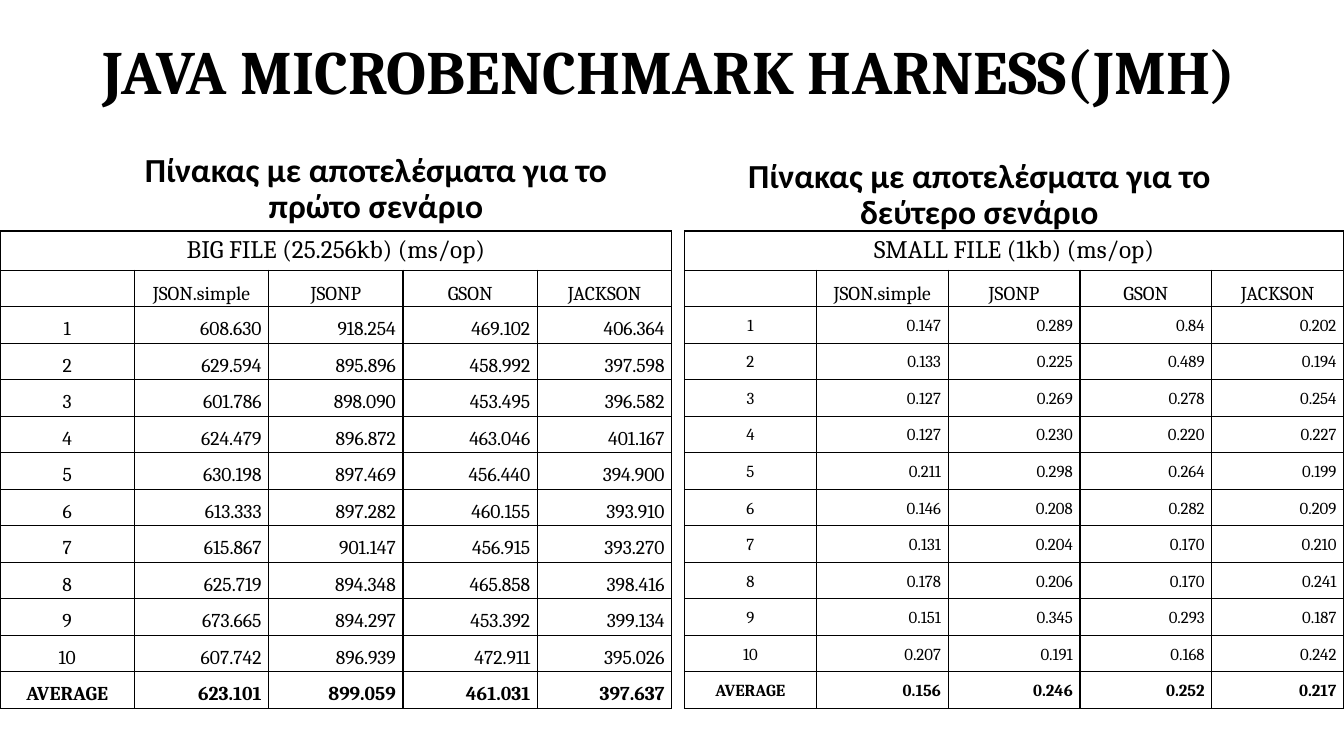
from lxml import etree
from pptx import Presentation
from pptx.dml.color import RGBColor
from pptx.enum.text import MSO_ANCHOR, MSO_AUTO_SIZE, PP_ALIGN
from pptx.oxml.ns import qn
from pptx.util import Cm, Pt

BLACK = RGBColor(0, 0, 0)
WHITE = RGBColor(255, 255, 255)
TITLE = "JAVA MICROBENCHMARK HARNESS(JMH)"
LIBRARIES = ["", "JSON.simple", "JSONP", "GSON", "JACKSON"]
ROW_NAMES = [str(run) for run in range(1, 11)] + ["AVERAGE"]

# Heading boxes are (left, top, width, height) in cm.
SCENARIOS = [
    dict(
        heading="Πίνακας με αποτελέσματα για το πρώτο σενάριο",
        heading_box=(2.31, 3.53, 14.33, 2.29), placeholder=1,
        caption="BIG FILE (25.256kb) (ms/op)",
        left=0, width=16.93, size=14,
        results=[
            ("608.630", "918.254", "469.102", "406.364"),
            ("629.594", "895.896", "458.992", "397.598"),
            ("601.786", "898.090", "453.495", "396.582"),
            ("624.479", "896.872", "463.046", "401.167"),
            ("630.198", "897.469", "456.440", "394.900"),
            ("613.333", "897.282", "460.155", "393.910"),
            ("615.867", "901.147", "456.915", "393.270"),
            ("625.719", "894.348", "465.858", "398.416"),
            ("673.665", "894.297", "453.392", "399.134"),
            ("607.742", "896.939", "472.911", "395.026"),
            ("623.101", "899.059", "461.031", "397.637"),
        ]),
    dict(
        heading="Πίνακας με αποτελέσματα για το δεύτερο σενάριο",
        heading_box=(17.48, 3.68, 14.4, 2.29), placeholder=3,
        caption="SMALL FILE (1kb) (ms/op)",
        left=17.25, width=16.61, size=12,
        results=[
            ("0.147", "0.289", "0.84", "0.202"),
            ("0.133", "0.225", "0.489", "0.194"),
            ("0.127", "0.269", "0.278", "0.254"),
            ("0.127", "0.230", "0.220", "0.227"),
            ("0.211", "0.298", "0.264", "0.199"),
            ("0.146", "0.208", "0.282", "0.209"),
            ("0.131", "0.204", "0.170", "0.210"),
            ("0.178", "0.206", "0.170", "0.241"),
            ("0.151", "0.345", "0.293", "0.187"),
            ("0.207", "0.191", "0.168", "0.242"),
            ("0.156", "0.246", "0.252", "0.217"),
        ]),
]
TABLE_TOP, CAPTION_HEIGHT, ROW_HEIGHT = 5.82, 0.94, 0.92
HEADER_SIZE = 14


def write(frame, text, size, font, align, bold=False):
    """Put one formatted paragraph in a text frame and return it."""
    paragraph = frame.paragraphs[0]
    paragraph.alignment = align
    run = paragraph.add_run()
    run.text = text
    run.font.size, run.font.name, run.font.bold = Pt(size), font, bold
    run.font.color.rgb = BLACK
    return paragraph


def fill_placeholder(shape, box, text, size, font, align, anchor):
    """Move a placeholder and write its bold text."""
    shape.left, shape.top, shape.width, shape.height = map(Cm, box)
    frame = shape.text_frame
    frame.word_wrap, frame.auto_size = True, MSO_AUTO_SIZE.NONE
    frame.vertical_anchor = anchor
    paragraph = write(frame, text, size, font, align, True)
    paragraph.line_spacing = 0.9
    return paragraph


def style_cell(cell):
    """Give a cell no fill and a thin black border on each side."""
    props = cell._tc.get_or_add_tcPr()
    for side in ("a:lnL", "a:lnR", "a:lnT", "a:lnB"):
        line = etree.SubElement(props, qn(side), w=str(Pt(1)))
        solid = etree.SubElement(line, qn("a:solidFill"))
        etree.SubElement(solid, qn("a:srgbClr"), val=str(BLACK))
    cell.fill.background()


def write_cell(cell, text, size, align, bold):
    """Write one header, row name or result cell."""
    cell.margin_left = cell.margin_right = Cm(0.18)
    cell.margin_top = cell.margin_bottom = 0
    if text:
        paragraph = write(cell.text_frame, text, size, "Cambria", align, bold)
        paragraph.line_spacing, paragraph.space_after = 1.5, Pt(3)


def add_results(slide, scenario):
    """Add the results table of one scenario."""
    rows = [LIBRARIES] + [(name, *values) for name, values
                          in zip(ROW_NAMES, scenario["results"])]
    height = CAPTION_HEIGHT + ROW_HEIGHT * len(rows)
    table = slide.shapes.add_table(
        len(rows) + 1, len(LIBRARIES), Cm(scenario["left"]), Cm(TABLE_TOP),
        Cm(scenario["width"]), Cm(height)).table
    table.first_row = table.horz_banding = False
    for column in table.columns:
        column.width = Cm(scenario["width"] / len(LIBRARIES))
    for number, row in enumerate(table.rows):
        row.height = Cm(ROW_HEIGHT if number else CAPTION_HEIGHT)
    for cell in table.iter_cells():
        style_cell(cell)
    table.cell(0, 0).merge(table.cell(0, len(LIBRARIES) - 1))
    write(table.cell(0, 0).text_frame, scenario["caption"], 18, "Cambria",
          PP_ALIGN.CENTER)
    for r, row in enumerate(rows, start=1):
        header = r == 1
        for c, text in enumerate(row):
            cell = table.cell(r, c)
            centred = header or c == 0
            write_cell(cell, text, HEADER_SIZE if header else scenario["size"],
                       PP_ALIGN.CENTER if centred else PP_ALIGN.RIGHT,
                       row[0] == "AVERAGE")
            if header:
                cell.vertical_anchor = MSO_ANCHOR.MIDDLE


prs = Presentation()
prs.slide_width, prs.slide_height = Cm(33.87), Cm(19.05)
slide = prs.slides.add_slide(prs.slide_layouts.get_by_name("Comparison"))
slide.background.fill.solid()
slide.background.fill.fore_color.rgb = WHITE

fill_placeholder(slide.shapes.title, (2.34, 0.03, 30.3, 3.68), TITLE, 44,
                 "Cambria", PP_ALIGN.LEFT, MSO_ANCHOR.MIDDLE)
placeholders = {p.placeholder_format.idx: p for p in slide.placeholders}
for scenario in SCENARIOS:
    heading = fill_placeholder(
        placeholders[scenario["placeholder"]], scenario["heading_box"],
        scenario["heading"], 24, "Calibri", PP_ALIGN.CENTER, MSO_ANCHOR.BOTTOM)
    heading.space_before = Pt(10)
    add_results(slide, scenario)

for placeholder in placeholders.values():
    if not placeholder.text_frame.text:
        placeholder.element.getparent().remove(placeholder.element)

prs.save("out.pptx")
